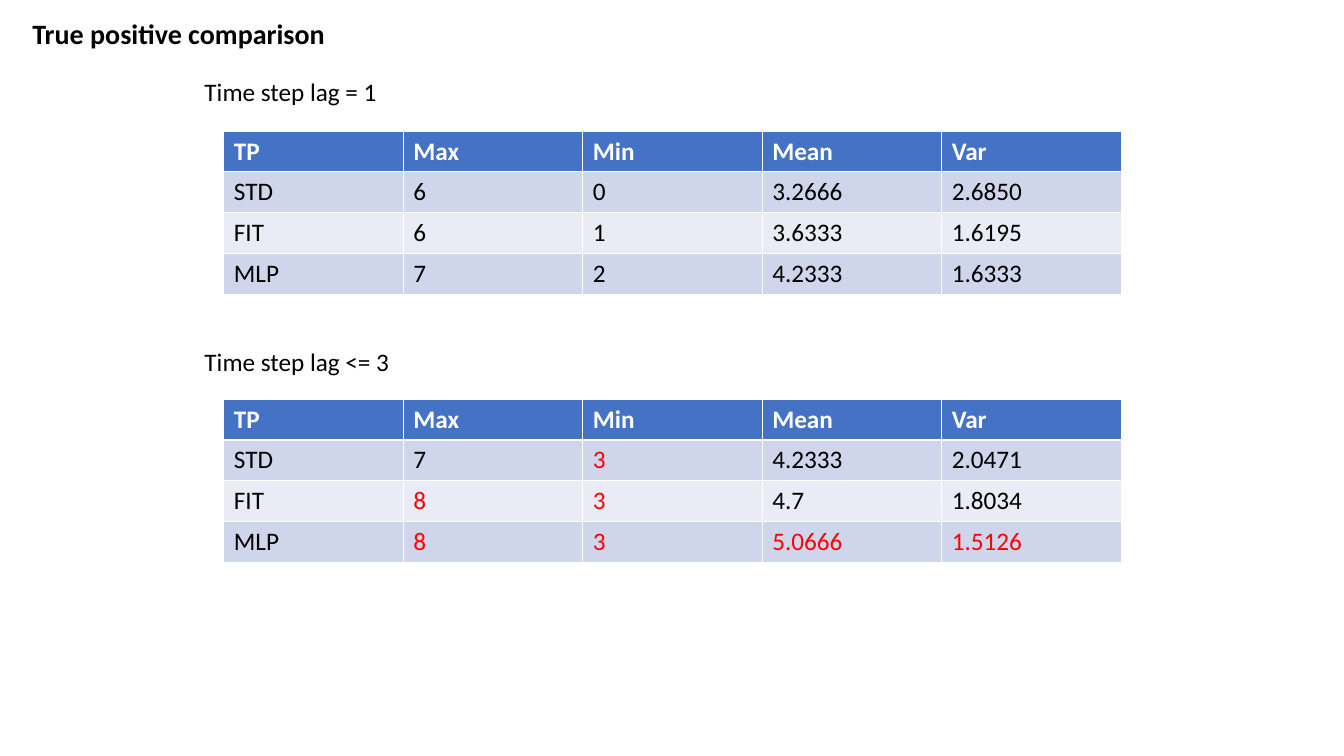
import pptx
import pptx.util
import pptx.dml.color
import pptx.enum.text

Inches = pptx.util.Inches
RGBColor = pptx.dml.color.RGBColor

BLACK = RGBColor(0x00, 0x00, 0x00)
WHITE = RGBColor(0xFF, 0xFF, 0xFF)
RED = RGBColor(0xFF, 0x00, 0x00)
HEADER_BLUE = RGBColor(0x44, 0x72, 0xC4)
BAND_DARK = RGBColor(0xCF, 0xD5, 0xEA)
BAND_LIGHT = RGBColor(0xE9, 0xEB, 0xF5)

HEADINGS = ("TP", "Max", "Min", "Mean", "Var")
COLUMN_WIDTH = 1.78
ROW_HEIGHT = 0.405

COMPARISONS = [
    {
        "label": "Time step lag = 1",
        "label_top": 0.71,
        "label_width": 1.93,
        "table_top": 1.3,
        "rows": [
            ("STD", "6", "0", "3.2666", "2.6850"),
            ("FIT", "6", "1", "3.6333", "1.6195"),
            ("MLP", "7", "2", "4.2333", "1.6333"),
        ],
        "best": {},
    },
    {
        "label": "Time step lag <= 3",
        "label_top": 3.39,
        "label_width": 2.06,
        "table_top": 3.96,
        "rows": [
            ("STD", "7", "3", "4.2333", "2.0471"),
            ("FIT", "8", "3", "4.7", "1.8034"),
            ("MLP", "8", "3", "5.0666", "1.5126"),
        ],
        "best": {"Max": "8", "Min": "3", "Mean": "5.0666", "Var": "1.5126"},
    },
]


def write_text(frame, text, size=18, color=BLACK, bold=False):
    para = frame.paragraphs[0]
    para.alignment = pptx.enum.text.PP_ALIGN.LEFT
    span = para.add_run()
    span.text = text
    span.font.name = "Calibri"
    span.font.size = pptx.util.Pt(size)
    span.font.bold = bold
    span.font.color.rgb = color


deck = pptx.Presentation()
deck.slide_width = Inches(13.33)
deck.slide_height = Inches(7.5)
page = deck.slides.add_slide(deck.slide_layouts.get_by_name("Title Only"))

title = page.shapes.title
title.left, title.top = Inches(0.22), Inches(0.11)
title.width, title.height = Inches(3.13), Inches(0.44)
title.text_frame.word_wrap = False
title.text_frame.auto_size = pptx.enum.text.MSO_AUTO_SIZE.SHAPE_TO_FIT_TEXT
title.text_frame.vertical_anchor = pptx.enum.text.MSO_ANCHOR.TOP
write_text(title.text_frame, "True positive comparison", size=20, bold=True)

for comparison in COMPARISONS:
    label = page.shapes.add_textbox(
        Inches(1.93), Inches(comparison["label_top"]),
        Inches(comparison["label_width"]), Inches(0.4))
    label.text_frame.word_wrap = False
    label.text_frame.auto_size = pptx.enum.text.MSO_AUTO_SIZE.SHAPE_TO_FIT_TEXT
    write_text(label.text_frame, comparison["label"])

    rows = [HEADINGS] + comparison["rows"]
    table = page.shapes.add_table(
        len(rows), len(HEADINGS),
        Inches(2.22), Inches(comparison["table_top"]),
        Inches(COLUMN_WIDTH * len(HEADINGS)), Inches(ROW_HEIGHT * len(rows))).table

    for row_index, values in enumerate(rows):
        is_header = row_index == 0
        if is_header:
            fill_color = HEADER_BLUE
        else:
            fill_color = BAND_DARK if row_index % 2 else BAND_LIGHT
        for column_index, (heading, value) in enumerate(zip(HEADINGS, values)):
            cell = table.cell(row_index, column_index)
            cell.fill.solid()
            cell.fill.fore_color.rgb = fill_color
            if is_header:
                text_color = WHITE
            else:
                text_color = RED if comparison["best"].get(heading) == value else BLACK
            write_text(cell.text_frame, value, color=text_color, bold=is_header)

deck.save("out.pptx")
